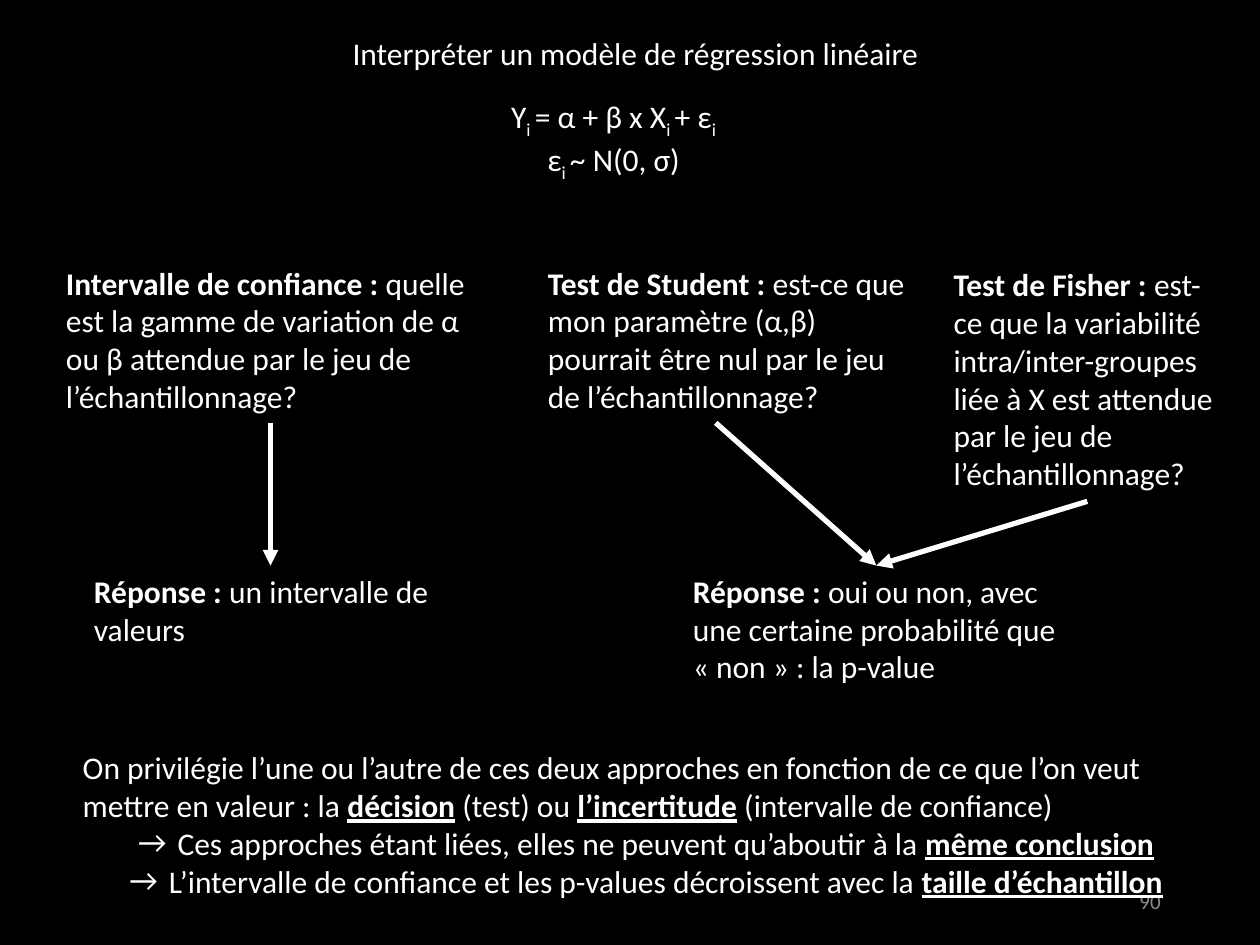
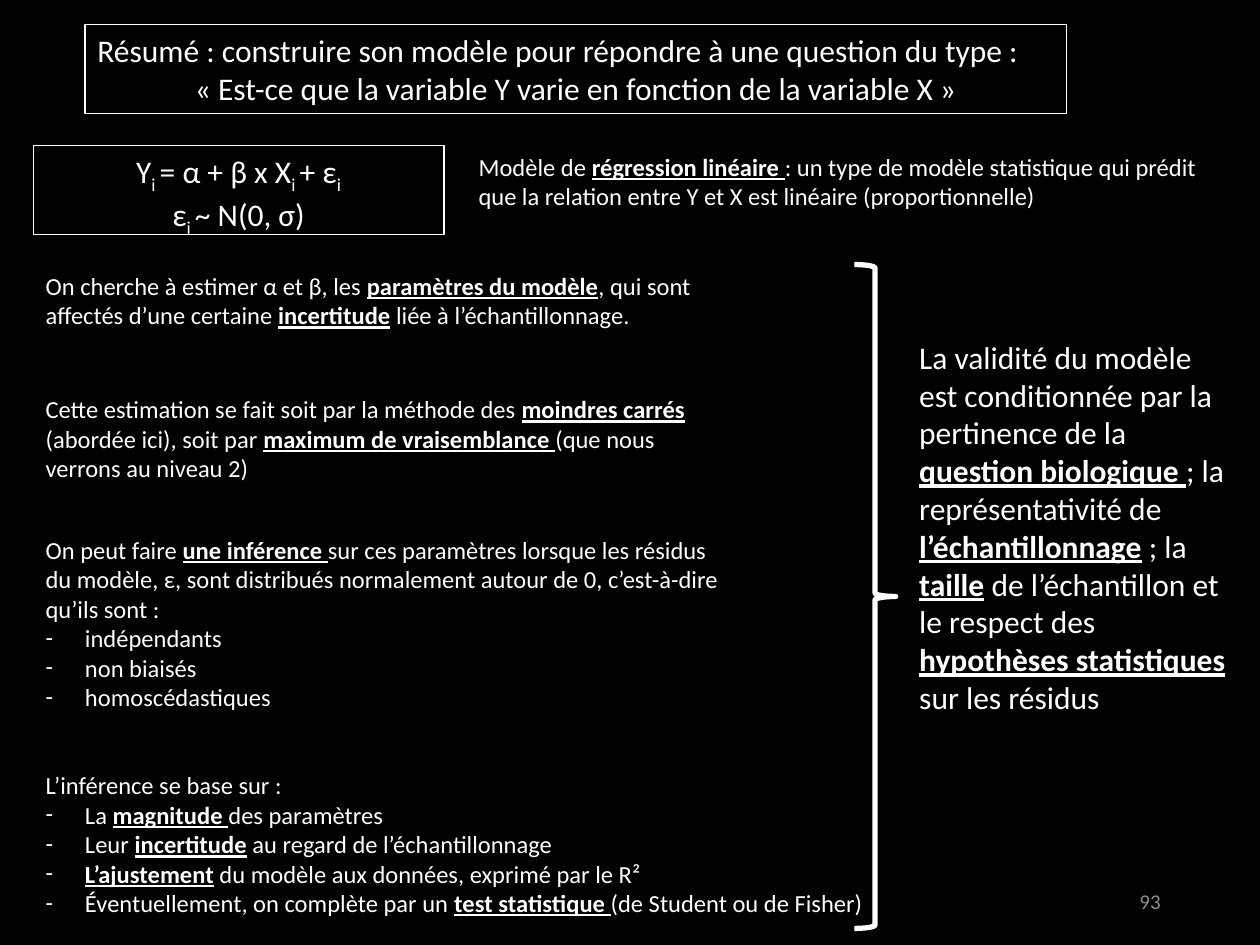
"""Builds two French slides on interpreting and summing up a linear regression model."""
from dataclasses import dataclass
from typing import Optional

from lxml import etree
from pptx import Presentation
from pptx import util as u
from pptx.dml.color import RGBColor
from pptx.enum import shapes, text
from pptx.oxml.ns import qn

Pt = u.Pt
LEFT, CENTER, RIGHT = text.PP_ALIGN.LEFT, text.PP_ALIGN.CENTER, text.PP_ALIGN.RIGHT


@dataclass(frozen=True)
class Theme:
    font: str = "Calibri"
    background: RGBColor = RGBColor(0, 0, 0)
    ink: RGBColor = RGBColor(255, 255, 255)
    muted: RGBColor = RGBColor(0x8C, 0x8C, 0x8C)
    large: float = 18
    body: float = 14
    small: float = 12
    frame: float = 0.75
    stroke: float = 3
    indent: float = 22.5


THEME = Theme()


@dataclass(frozen=True)
class Run:
    text: str
    bold: bool = False
    underline: bool = False
    subscript: bool = False


@dataclass(frozen=True)
class Para:
    runs: tuple
    align: text.PP_ALIGN = LEFT
    bullet: str = ""


@dataclass(frozen=True)
class Box:
    left: float
    top: float
    width: float
    height: float
    paras: tuple
    size: float = THEME.large
    color: RGBColor = THEME.ink
    frame: Optional[RGBColor] = None
    anchor: text.MSO_ANCHOR = text.MSO_ANCHOR.TOP


@dataclass(frozen=True)
class Arrow:
    start: tuple
    end: tuple
    source: Optional[str] = None
    target: Optional[str] = None


def bold(words: str) -> Run:
    return Run(words, bold=True)


def key(words: str) -> Run:
    return Run(words, bold=True, underline=True)


def sub(words: str) -> Run:
    return Run(words, subscript=True)


def para(*parts, align: text.PP_ALIGN = LEFT, bullet: str = "") -> Para:
    runs = tuple(Run(part) if isinstance(part, str) else part for part in parts)
    return Para(runs, align, bullet)


def add_bullet(p, char: str) -> None:
    pPr = p._p.get_or_add_pPr()
    indent = int(Pt(THEME.indent))
    pPr.set("marL", str(indent))
    pPr.set("indent", str(-indent))
    etree.SubElement(pPr, qn("a:buFont")).set("typeface", THEME.font)
    etree.SubElement(pPr, qn("a:buChar")).set("char", char)


def add_run(p, run: Run, box: Box) -> None:
    r = p.add_run()
    r.text = run.text
    formats = {"name": THEME.font, "size": Pt(box.size), "bold": run.bold, "underline": run.underline}
    for name, value in formats.items():
        setattr(r.font, name, value)
    r.font.color.rgb = box.color
    if run.subscript:
        r._r.get_or_add_rPr().set("baseline", "-25000")


def add_outlined(s, kind, place: tuple, color: RGBColor, width: float):
    sp = s.shapes.add_shape(kind, *place)
    sp.shadow.inherit = False
    sp.fill.background()
    sp.line.color.rgb = color
    sp.line.width = Pt(width)
    return sp


def add_box(s, box: Box):
    place = tuple(Pt(v) for v in (box.left, box.top, box.width, box.height))
    if box.frame is None:
        sp = s.shapes.add_textbox(*place)
    else:
        sp = add_outlined(s, shapes.MSO_SHAPE.RECTANGLE, place, box.frame, THEME.frame)
    tf = sp.text_frame
    for name, value in {"word_wrap": True, "vertical_anchor": box.anchor}.items():
        setattr(tf, name, value)
    for i, item in enumerate(box.paras):
        p = tf.add_paragraph() if i else tf.paragraphs[0]
        p.alignment = item.align
        if item.bullet:
            add_bullet(p, item.bullet)
        for run in item.runs:
            add_run(p, run, box)
    return sp


def add_arrow(s, arrow: Arrow, boxes: dict) -> None:
    points = (Pt(v) for v in arrow.start + arrow.end)
    cx = s.shapes.add_connector(shapes.MSO_CONNECTOR.STRAIGHT, *points)
    if arrow.source:
        cx.begin_connect(boxes[arrow.source], 2)
    if arrow.target:
        cx.end_connect(boxes[arrow.target], 0)
    cx.line.color.rgb = THEME.ink
    cx.line.width = Pt(THEME.stroke)
    etree.SubElement(cx.line._get_or_add_ln(), qn("a:tailEnd")).set("type", "triangle")
    etree.SubElement(cx._element.spPr, qn("a:effectLst"))


def add_slide(prs, number: int):
    s = prs.slides.add_slide(prs.slide_layouts[6])
    s.background.fill.solid()
    s.background.fill.fore_color.rgb = THEME.background
    add_box(s, Box(508.3, 500.4, 162, 28.8, (para(str(number), align=RIGHT),),
                   THEME.small, THEME.muted, anchor=text.MSO_ANCHOR.MIDDLE))
    return s


def formula(left: float, top: float, frame: RGBColor) -> Box:
    return Box(left, top, 234.7, 51, (
        para("Y", sub("i "), "= α + β x X", sub("i "), "+ ε", sub("i"), align=CENTER),
        para("ε", sub("i "), "~ N(0, σ)", align=CENTER),
    ), frame=frame)


ANSWER_TOP, ARROW_TOP = 323.2, 241.6
INTERPRETATION = {
    "title": Box(194.4, 15.8, 362.2, 28.8, (para("Interpréter un modèle de régression linéaire"),)),
    "formula": formula(233.3, 51.8, THEME.background),
    "interval": Box(30.6, 147.1, 248, 94.5, (para(
        bold("Intervalle de confiance : "),
        "quelle est la gamme de variation de α ou β attendue par le jeu de l’échantillonnage?"),)),
    "student": Box(306, 147.1, 223.9, 94.5, (para(
        bold("Test de Student : "),
        "est-ce que mon paramètre (α,β) pourrait être nul par le jeu de l’échantillonnage?"),)),
    "fisher": Box(537.8, 148, 167, 138.5, (para(
        bold("Test de Fisher : "),
        "est-ce que la variabilité intra/inter-groupes liée à X est attendue "
        "par le jeu de l’échantillonnage?"),)),
    "values": Box(46.6, ANSWER_TOP, 223.9, 51, (para(
        bold("Réponse : "), "un intervalle de valeurs"),)),
    "decision": Box(388.8, ANSWER_TOP, 223.9, 72.7, (para(
        bold("Réponse : "),
        "oui ou non, avec une certaine probabilité que « non » : la p-value"),)),
    "conclusion": Box(40.2, 424.1, 658.1, 94.3, (
        para("On privilégie l’une ou l’autre de ces deux approches en fonction de ce que l’on veut "
             "mettre en valeur : la ", key("décision"), " (test) ou ", key("l’incertitude"),
             " (intervalle de confiance)"),
        para("Ces approches étant liées, elles ne peuvent qu’aboutir à la ",
             key("même conclusion"), align=CENTER, bullet="→"),
        para("L’intervalle de confiance et les p-values décroissent avec la ",
             key("taille d’échantillon"), align=CENTER, bullet="→"),
    )),
}
ARROWS = (
    Arrow((154.6, ARROW_TOP), (154.6, ANSWER_TOP), source="interval"),
    Arrow((409, ARROW_TOP), (500.75, ANSWER_TOP), target="decision"),
    Arrow((621.3, 286.5), (500.75, ANSWER_TOP), source="fisher", target="decision"),
)

MARGIN = 19
SUMMARY = (
    Box(48.6, 14.1, 560.9, 51, (
        para("Résumé : construire son modèle pour répondre à une question du type :"),
        para("« Est-ce que la variable Y varie en fonction de la variable X »", align=CENTER),
    ), frame=THEME.ink),
    formula(MARGIN, 83.2, THEME.ink),
    Box(266.4, 83.3, 443.5, 41, (para(
        "Modèle de ", key("régression linéaire "),
        ": un type de modèle statistique qui prédit que la relation entre Y et X est linéaire "
        "(proportionnelle)"),), THEME.body),
    Box(MARGIN, 151.2, 409.7, 41, (para(
        "On cherche à estimer α et β, les ", key("paramètres du modèle"),
        ", qui sont affectés d’une certaine ", key("incertitude"),
        " liée à l’échantillonnage."),), THEME.body),
    Box(MARGIN, 221.8, 403.2, 58.3, (para(
        "Cette estimation se fait soit par la méthode des ", key("moindres carrés"),
        " (abordée ici), soit par ", key("maximum de vraisemblance "),
        "(que nous verrons au niveau 2)"),), THEME.body),
    Box(MARGIN, 302.2, 398.9, 126, (
        para("On peut faire ", key("une inférence "),
             "sur ces paramètres lorsque les résidus du modèle, ε, sont distribués normalement "
             "autour de 0, c’est-à-dire qu’ils sont :"),
        *(para(quality, bullet="-") for quality in ("indépendants", "non biaisés", "homoscédastiques")),
    ), THEME.body),
    Box(MARGIN, 436.7, 509, 108.7, (
        para("L’inférence se base sur :"),
        para("La ", key("magnitude "), "des paramètres", bullet="-"),
        para("Leur ", key("incertitude"), " au regard de l’échantillonnage", bullet="-"),
        para(key("L’ajustement"), " du modèle aux données, exprimé par le R²", bullet="-"),
        para("Éventuellement, on complète par un ", key("test statistique "),
             "(de Student ou de Fisher)", bullet="-"),
    ), THEME.body),
    Box(518.2, 189.5, 191.5, 225.4, (para(
        "La validité du modèle est conditionnée par la pertinence de la ",
        key("question biologique "), "; la représentativité de ", key("l’échantillonnage"),
        " ; la ", key("taille"), " de l’échantillon et le respect des ",
        key("hypothèses statistiques "), "sur les résidus"),)),
)
BRACE = (Pt(488.2), Pt(151.2), Pt(23.6), Pt(379.4))


def build_interpretation(prs) -> None:
    s = add_slide(prs, 90)
    boxes = {name: add_box(s, box) for name, box in INTERPRETATION.items()}
    for arrow in ARROWS:
        add_arrow(s, arrow, boxes)


def build_summary(prs) -> None:
    s = add_slide(prs, 93)
    for box in SUMMARY:
        add_box(s, box)
    add_outlined(s, shapes.MSO_SHAPE.RIGHT_BRACE, BRACE, THEME.ink, THEME.stroke)


def main() -> None:
    prs = Presentation()
    prs.slide_width, prs.slide_height = Pt(720), Pt(540)
    build_interpretation(prs)
    build_summary(prs)
    prs.save("out.pptx")


if __name__ == "__main__":
    main()
